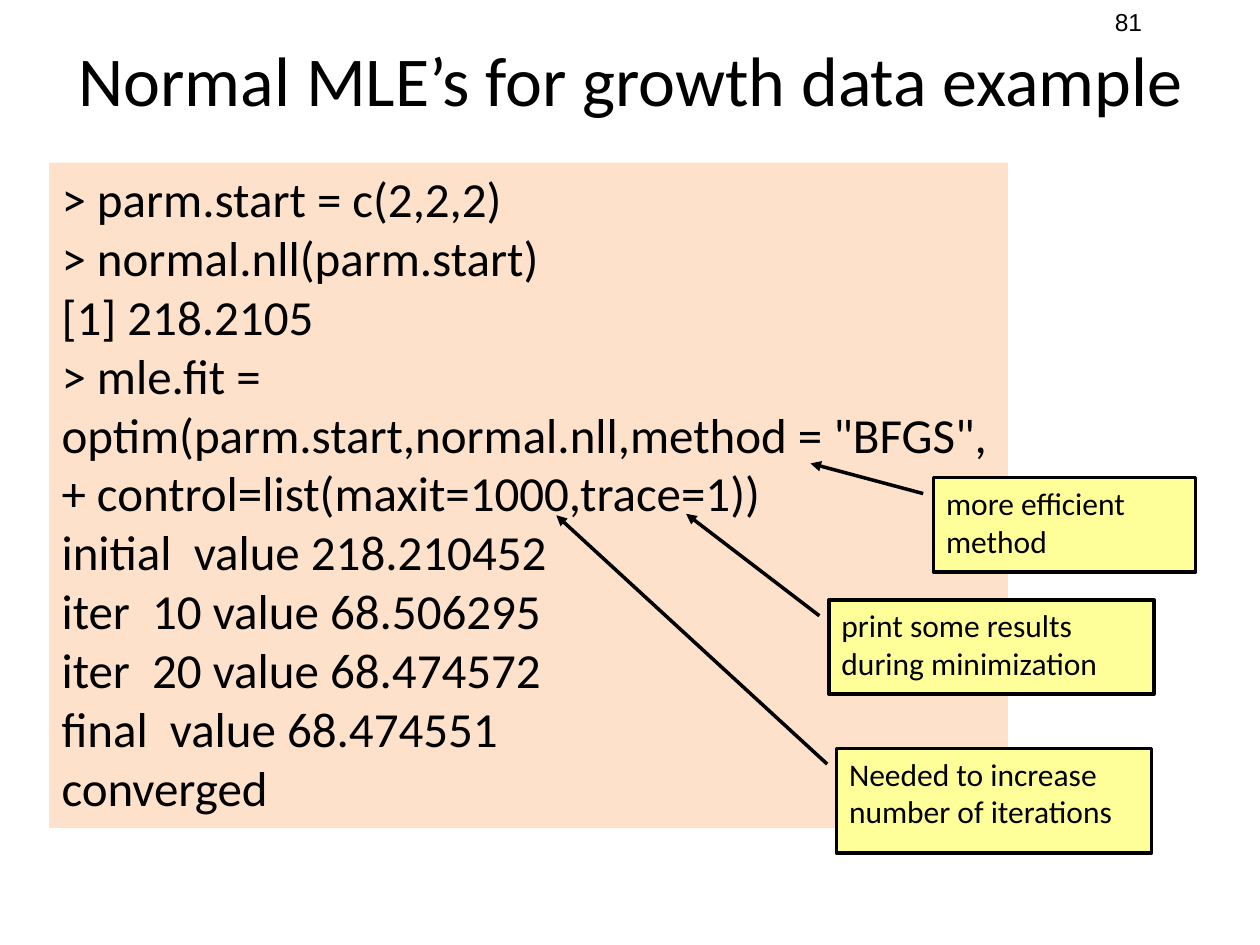
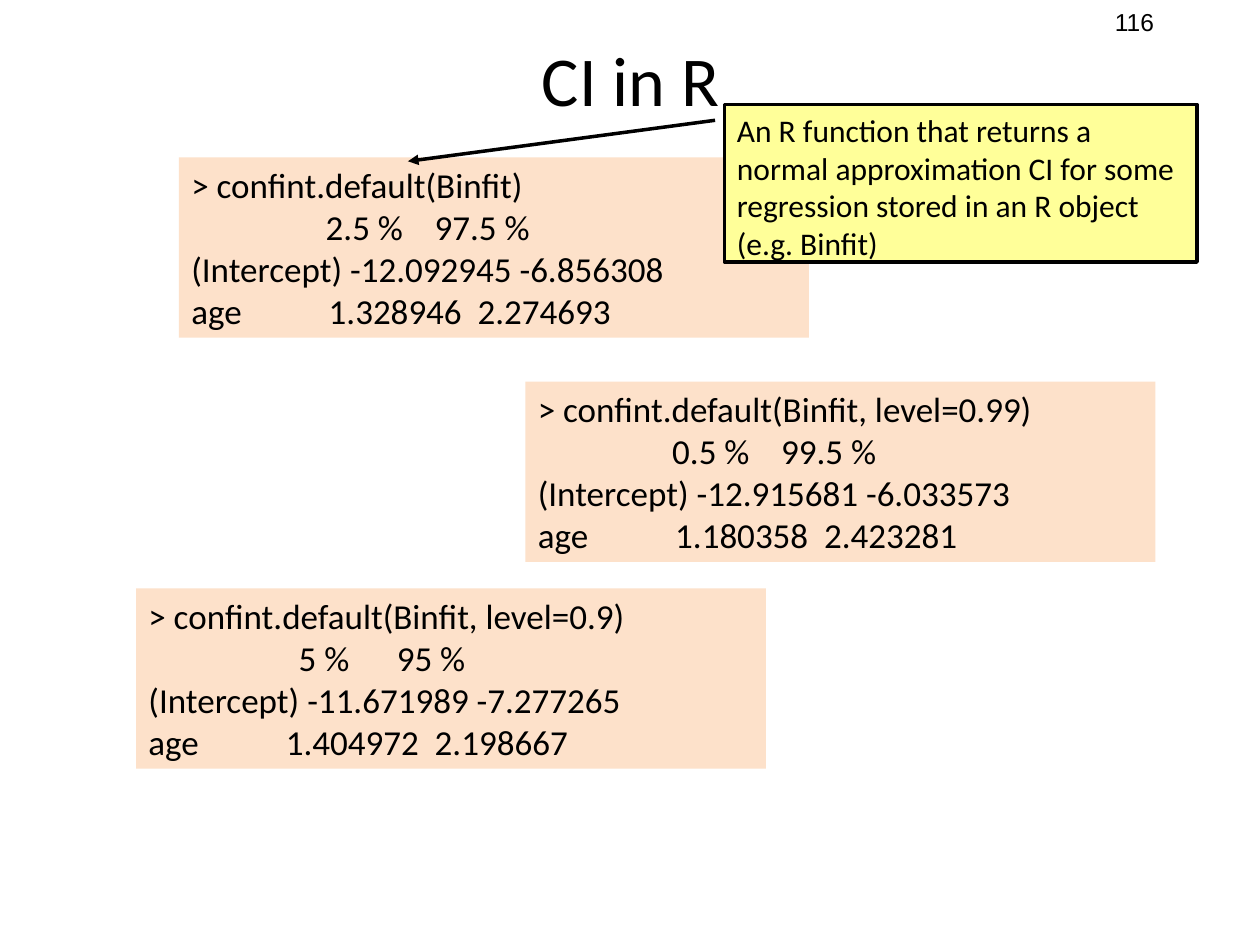
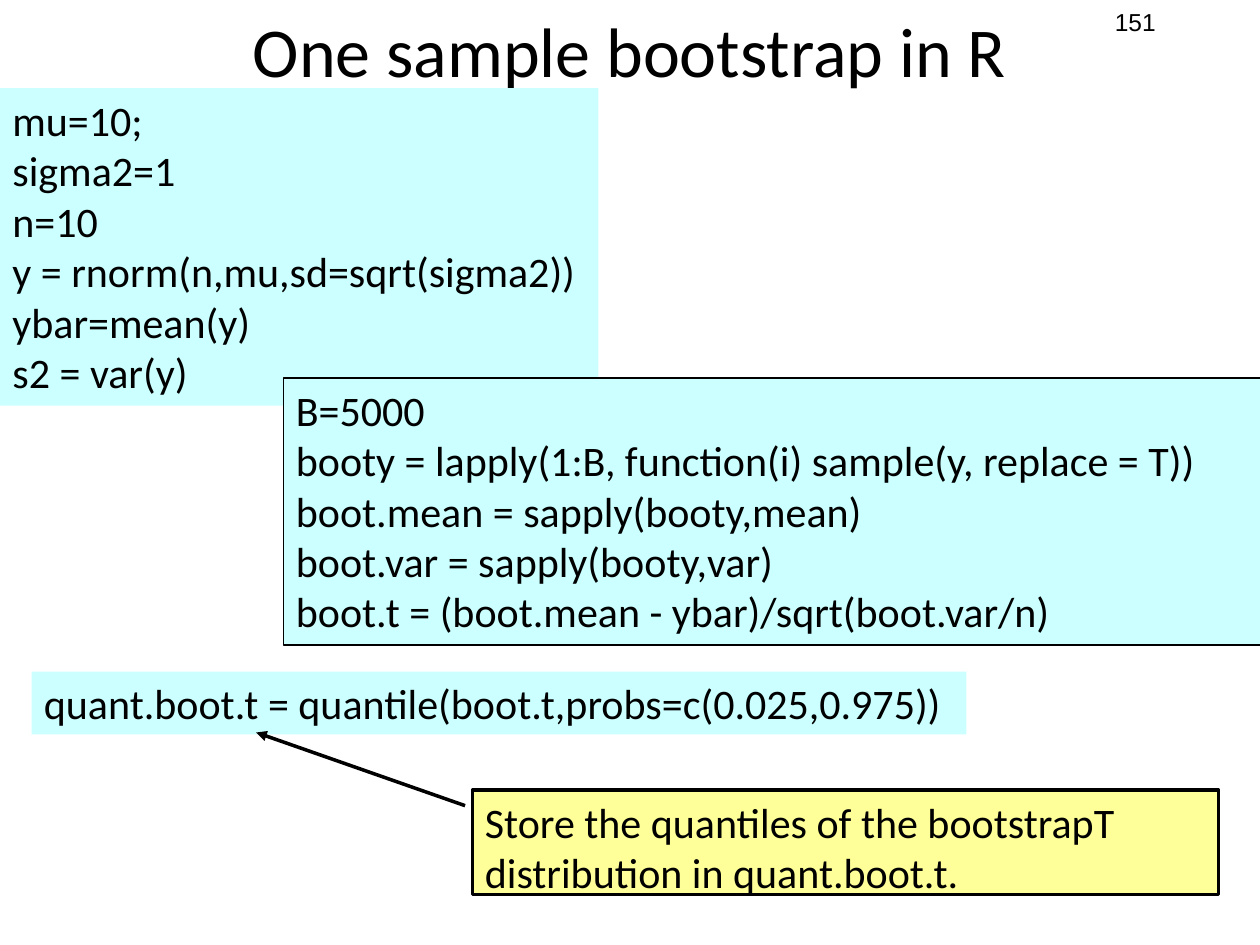
from lxml import etree
from pptx import Presentation
from pptx.dml.color import RGBColor
from pptx.enum.shapes import MSO_SHAPE
from pptx.enum.text import MSO_ANCHOR, MSO_AUTO_SIZE, PP_ALIGN
from pptx.oxml.ns import qn
from pptx.util import Inches, Pt

RECTANGLE, CALLOUT = MSO_SHAPE.RECTANGLE, MSO_SHAPE.LINE_CALLOUT_1
TOP, MIDDLE = MSO_ANCHOR.TOP, MSO_ANCHOR.MIDDLE
LEFT, CENTER = PP_ALIGN.LEFT, PP_ALIGN.CENTER
GROW, FIXED = MSO_AUTO_SIZE.SHAPE_TO_FIT_TEXT, MSO_AUTO_SIZE.NONE

COLORS = {"text": "000000", "peach": "FDE1CA", "aqua": "CCFFFF", "note": "FFFF99"}
TITLE_BOX = (0.51, 0.17, 8.99, 0.91)
NUMBER_BOX = (8.75, 0.01, 1, 0.34)

# code: box, text, outline width in points
# notes: box, text, pointer as (start y, start x, end y, end x) in shares of the box
SLIDES = [
    {
        "number": "81",
        "title": "Normal MLE’s for growth data example",
        "code_fill": "peach", "code_size": 28, "note_size": 18,
        "code": [((0.39, 1.29, 7.61, 5.28), """\
> parm.start = c(2,2,2)
> normal.nll(parm.start)
[1] 218.2105
> mle.fit = optim(parm.start,normal.nll,method = "BFGS",
+ control=list(maxit=1000,trace=1))
initial  value 218.210452
iter  10 value 68.506295
iter  20 value 68.474572
final  value 68.474551
converged""", 0)],
        "notes": [
            ((6.64, 5.94, 2.5, 0.83), "Needed to increase number of iterations",
             (0.15, -0.03, -2.23, -0.89)),
            ((6.58, 4.76, 2.58, 0.75), "print some results during minimization",
             (0.17, -0.03, -0.91, -0.44)),
            ((7.41, 3.79, 2.08, 0.75), "more efficient method",
             (0.17, -0.04, -0.15, -0.47)),
        ],
    },
    {
        "number": "116",
        "title": "CI in R",
        "code_fill": "peach", "code_size": 20, "note_size": 18,
        "code": [
            ((1.42, 1.25, 5, 1.43), """\
> confint.default(Binfit)
                 2.5 %    97.5 %
(Intercept) -12.092945 -6.856308
age           1.328946  2.274693""", 0),
            ((4.17, 3.03, 5, 1.43), """\
> confint.default(Binfit, level=0.99)
                 0.5 %    99.5 %
(Intercept) -12.915681 -6.033573
age           1.180358  2.423281""", 0),
            ((1.08, 4.67, 5, 1.43), """\
> confint.default(Binfit, level=0.9)
                   5 %      95 %
(Intercept) -11.671989 -7.277265
age           1.404972  2.198667""", 0),
        ],
        "notes": [
            ((5.75, 0.83, 3.75, 1.25),
             "An R function that returns a normal approximation CI for some "
             "regression stored in an R object (e.g. Binfit)",
             (0.1, -0.02, 0.36, -0.67)),
        ],
    },
    {
        "number": "151",
        "title": "One sample bootstrap in R",
        "title_box": (0.5, -0.06, 8.99, 0.91),
        "code_fill": "aqua", "code_size": 24, "note_size": 24,
        "code": [
            ((0, 0.7, 4.75, 2.52), """\
mu=10;
sigma2=1
n=10
y = rnorm(n,mu,sd=sqrt(sigma2))
ybar=mean(y)
s2 = var(y)""", 0),
            ((2.25, 3, 7.83, 2.12), """\
B=5000
booty = lapply(1:B, function(i) sample(y, replace = T))
boot.mean = sapply(booty,mean)
boot.var = sapply(booty,var)
boot.t = (boot.mean - ybar)/sqrt(boot.var/n)""", 0.75),
            ((0.25, 5.33, 7.42, 0.5),
             "quant.boot.t = quantile(boot.t,probs=c(0.025,0.975))", 0),
        ],
        "notes": [
            ((3.75, 6.27, 5.92, 0.83),
             "Store the quantiles of the bootstrapT distribution in quant.boot.t.",
             (0.15, -0.01, -0.55, -0.29)),
        ],
    },
]


def add_text(slide, box, text, size, font="Calibri", kind=None, fill=None, outline=0,
             align=LEFT, anchor=TOP, fit=FIXED):
    """Add a text box, or a filled shape if kind is given, with one paragraph per line."""
    place = [Inches(length) for length in box]
    if kind is None:
        shape = slide.shapes.add_textbox(*place)
    else:
        shape = slide.shapes.add_shape(kind, *place)
        shape.shadow.inherit = False
        shape.fill.solid()
        shape.fill.fore_color.rgb = RGBColor.from_string(COLORS[fill])
        if outline:
            shape.line.color.rgb = RGBColor.from_string(COLORS["text"])
            shape.line.width = Pt(outline)
        else:
            shape.line.fill.background()
    frame = shape.text_frame
    frame.word_wrap = True
    frame.auto_size = fit
    frame.vertical_anchor = anchor
    frame.text = text
    for paragraph in frame.paragraphs:
        paragraph.alignment = align
        paragraph.font.name = font
        paragraph.font.size = Pt(size)
        paragraph.font.color.rgb = RGBColor.from_string(COLORS["text"])
    return shape


prs = Presentation()
prs.slide_width, prs.slide_height = Inches(10), Inches(7.5)

for content in SLIDES:
    slide = prs.slides.add_slide(prs.slide_layouts[6])
    add_text(slide, NUMBER_BOX, content["number"], 14, font="Arial", fit=GROW)
    add_text(slide, content.get("title_box", TITLE_BOX), content["title"], 40,
             align=CENTER, anchor=MIDDLE)
    for box, code, outline in content["code"]:
        add_text(slide, box, code, content["code_size"], kind=RECTANGLE,
                 fill=content["code_fill"], outline=outline, fit=GROW)
    for box, remark, pointer in content["notes"]:
        note = add_text(slide, box, remark, content["note_size"], kind=CALLOUT,
                        fill="note", outline=2)
        for index, share in enumerate(pointer):
            note.adjustments[index] = share
        outline_xml = note.line._get_or_add_ln()
        etree.SubElement(outline_xml, qn("a:tailEnd"), type="triangle")

prs.save("out.pptx")
